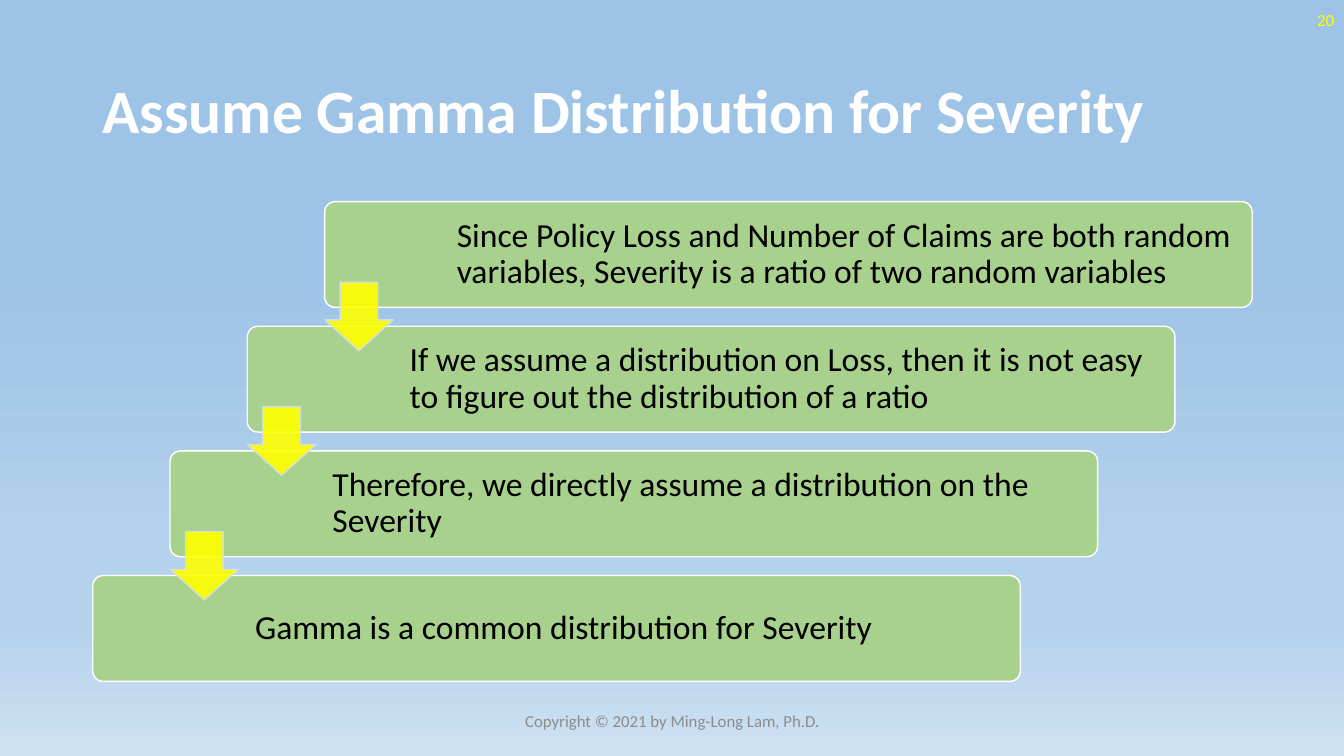
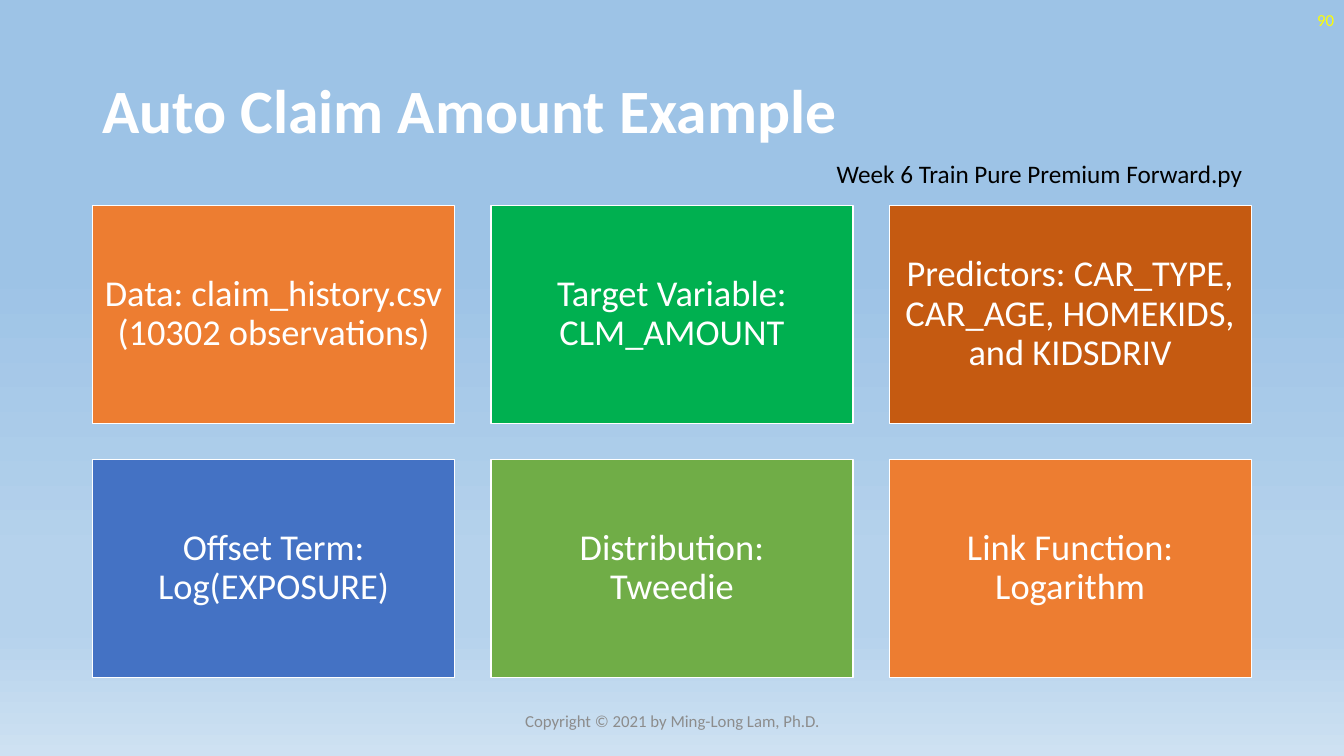
import copy
from lxml import etree
from pptx import Presentation
from pptx import util as u
from pptx.dml import color
from pptx.enum import shapes, text
from pptx.oxml import ns

LEFT, CENTER, RIGHT = text.PP_ALIGN.LEFT, text.PP_ALIGN.CENTER, text.PP_ALIGN.RIGHT
MARGIN = 0.92
SKY = [(0.35, "9DC3E6"), (0.74, "B5D2EC"), (0.83, "B5D2EC"), (1, "CEE1F2")]
WHITE, BLACK, YELLOW, GRAY = "FFFFFF", "000000", "FFFF00", "8C8C8C"
ORANGE, STEP_GREEN, ARROW_EDGE = "ED7D31", "A9D18E", "D2DEEF"

REASONING = [
    "Since Policy Loss and Number of Claims are both random variables, "
    "Severity is a ratio of two random variables",
    "If we assume a distribution on Loss, then it is not easy to figure out "
    "the distribution of a ratio",
    "Therefore, we directly assume a distribution on the Severity",
    "Gamma is a common distribution for Severity",
]
MODEL_PARTS = [
    ("Data: claim_history.csv (10302 observations)", ORANGE),
    ("Target Variable: CLM_AMOUNT", "00B050"),
    ("Predictors: CAR_TYPE, CAR_AGE, HOMEKIDS, and KIDSDRIV", "C55A11"),
    ("Offset Term: Log(EXPOSURE)", "4472C4"),
    ("Distribution:\nTweedie", "70AD47"),
    ("Link Function: Logarithm", ORANGE),
]


def rgb(value):
    """Turn a hex string into a colour."""
    return color.RGBColor.from_string(value)


def inches(*lengths):
    """Turn numbers into lengths in inches."""
    return [u.Inches(length) for length in lengths]


def write(frame, words, size=12, ink=BLACK, bold=False, align=LEFT, spacing=1,
          anchor=text.MSO_ANCHOR.MIDDLE, margins=(0.1, 0.05, 0.1, 0.05), wrap=True):
    """Fill a text frame with one formatted paragraph."""
    frame.word_wrap = wrap
    frame.vertical_anchor = anchor
    (frame.margin_left, frame.margin_top,
     frame.margin_right, frame.margin_bottom) = inches(*margins)
    paragraph = frame.paragraphs[0]
    paragraph.text = words
    paragraph.alignment = align
    paragraph.line_spacing = spacing
    for run in paragraph.runs:
        run.font.name = "Calibri"
        run.font.size = u.Pt(size)
        run.font.bold = bold
        run.font.color.rgb = rgb(ink)


class Deck:
    """Hold the shared style and the current slide."""

    def __init__(self):
        """Set the slide size and the gradient behind every slide."""
        self.presentation = Presentation()
        self.presentation.slide_width = u.Inches(13.33)
        self.presentation.slide_height = u.Inches(7.5)
        self.slide = None
        self.paint_background()

    def paint_background(self):
        """Put the sky gradient on the slide master."""
        master = self.presentation.slide_master
        fill = master.background.fill
        fill.gradient()
        fill.gradient_angle = 270
        stop_list = master.element.find(".//" + ns.qn("p:bg")).find(".//" + ns.qn("a:gsLst"))
        while len(stop_list) < len(SKY):
            stop_list.append(copy.deepcopy(stop_list[0]))
        for stop, (position, shade) in zip(fill.gradient_stops, SKY):
            stop.color.rgb = rgb(shade)
            stop.position = position

    def start(self, title, number):
        """Add a slide with its title, number and copyright line."""
        self.slide = self.presentation.slides.add_slide(self.presentation.slide_layouts[6])
        self.label(title, MARGIN, 0.4, 11.5, 1.45, size=44, ink=WHITE, bold=True, spacing=0.9)
        self.label(str(number), 10.33, 0, 3, 0.4, ink=YELLOW, align=RIGHT)
        self.label("Copyright © 2021 by Ming-Long Lam, Ph.D.", 4.42, 6.95, 4.5, 0.4,
                   ink=GRAY, align=CENTER)

    def label(self, words, left, top, width, height, **style):
        """Add free text."""
        box = self.slide.shapes.add_textbox(*inches(left, top, width, height))
        write(box.text_frame, words, **style)

    def block(self, preset, place, fill, edge=WHITE, adjustments=(), opacity=100):
        """Add a filled and outlined shape."""
        block = self.slide.shapes.add_shape(preset, *inches(*place))
        block.shadow.inherit = False
        for index, value in enumerate(adjustments):
            block.adjustments[index] = value
        block.fill.solid()
        block.fill.fore_color.rgb = rgb(fill)
        block.line.color.rgb = rgb(edge)
        block.line.width = u.Pt(1)
        if opacity < 100:
            for tint in block.element.spPr.iter(ns.qn("a:srgbClr")):
                etree.SubElement(tint, ns.qn("a:alpha"), val=str(opacity * 1000))
        return block

    def step(self, words, left, top, indent):
        """Add one stair of the reasoning."""
        stair = self.block(shapes.MSO_SHAPE.ROUNDED_RECTANGLE, (left, top, 9.2, 1.05),
                           STEP_GREEN, adjustments=[0.1])
        write(stair.text_frame, words, size=24, spacing=0.9, margins=(indent, 0.13, 0.13, 0.13))

    def arrow(self, left, top):
        """Add an arrow leading down to the next stair."""
        self.block(shapes.MSO_SHAPE.DOWN_ARROW, (left, top, 0.68, 0.68), YELLOW,
                   edge=ARROW_EDGE, adjustments=[0.55, 0.45], opacity=90)

    def card(self, words, left, top, fill):
        """Add one tile of the model summary."""
        tile = self.block(shapes.MSO_SHAPE.RECTANGLE, (left, top, 3.59, 2.16), fill)
        write(tile.text_frame, words, size=26, ink=WHITE, align=CENTER, spacing=0.9,
              margins=(0.11,) * 4)


def severity_slide(deck):
    """Build the staircase of reasons for the gamma distribution."""
    deck.start("Assume Gamma Distribution for Severity", 20)
    last = len(REASONING) - 1
    corners = [(MARGIN + (last - row) * 2.3 / last, 2 + row * 3.71 / last)
               for row in range(len(REASONING))]
    for row, (words, (left, top)) in enumerate(zip(REASONING, corners)):
        deck.step(words, left, top, indent=1.58 if row else 1.28)
    for left, top in corners[:-1]:
        deck.arrow(left, top + 0.8)


def claim_slide(deck):
    """Build the grid of parts of the claim model."""
    deck.start("Auto Claim Amount Example", 90)
    for index, (words, fill) in enumerate(MODEL_PARTS):
        row, column = divmod(index, 3)
        deck.card(words, MARGIN + column * 3.95, 2.04 + row * 2.52, fill)
    deck.label("Week 6 Train Pure Premium Forward.py", 8.2, 1.52, 4.27, 0.4,
               size=18, anchor=text.MSO_ANCHOR.TOP, wrap=False)


def main():
    """Build and save the presentation."""
    deck = Deck()
    severity_slide(deck)
    claim_slide(deck)
    deck.presentation.save("out.pptx")


if __name__ == "__main__":
    main()
